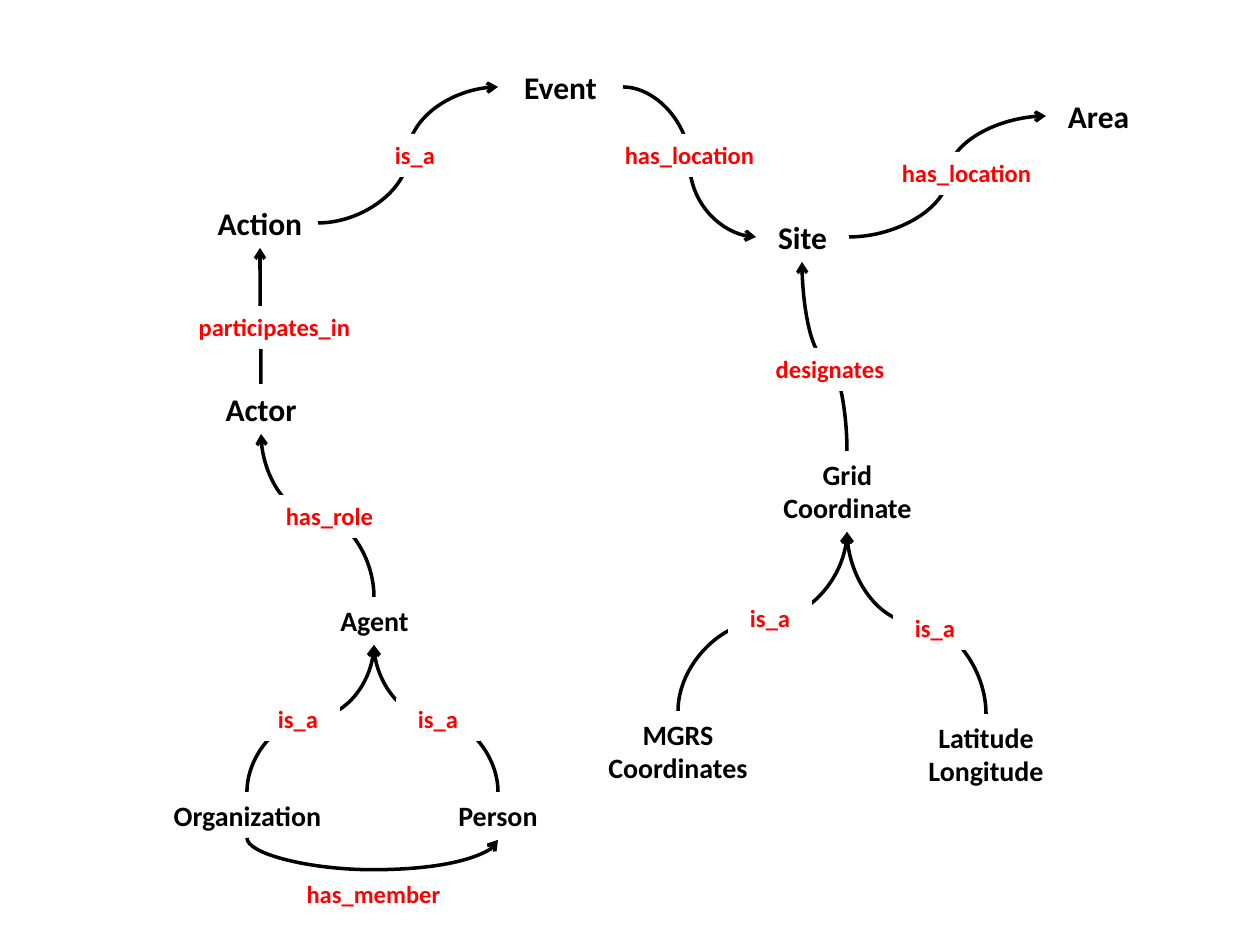
"""Build a concept map of events, actors, sites and coordinates."""
import lxml.etree
import pptx
import pptx.dml.color
import pptx.enum.shapes
import pptx.enum.text
import pptx.oxml.ns
import pptx.util

BLACK = pptx.dml.color.RGBColor(0x00, 0x00, 0x00)
RED = pptx.dml.color.RGBColor(0xFF, 0x00, 0x00)
WHITE = pptx.dml.color.RGBColor(0xFF, 0xFF, 0xFF)
PX_PER_INCH = 126
FONT = "Calibri"
LABEL_HEIGHT = 43
LABEL_SIZE = 14

CONCEPTS = {
    "Actor": (209, 384, 104, 50, 18),
    "Action": (202, 198, 116, 50, 18),
    "Event": (498, 62, 125, 50, 18),
    "Area": (1046, 91, 105, 50, 18),
    "Site": (756, 212, 93, 50, 18),
    "Organization": (160, 792, 175, 46, 16),
    "Person": (430, 792, 136, 48, 16),
    "Agent": (312, 597, 125, 48, 16),
    "Grid Coordinate": (748, 451, 199, 81, 16),
    "Latitude Longitude": (908, 714, 156, 81, 16),
    "MGRS Coordinates": (585, 711, 186, 81, 16),
}
LABEL_WIDTHS = {
    "is_a": 84,
    "has_role": 123,
    "participates_in": 197,
    "has_member": 185,
    "has_location": 161,
    "designates": 146,
}
RELATIONS = [
    ("Organization", "top", "Agent", "bottom", "is_a", 256, 698),
    ("Person", "top", "Agent", "bottom", "is_a", 396, 698),
    ("Agent", "top", "Actor", "bottom", "has_role", 268, 495),
    ("Actor", "top", "Action", "bottom", "participates_in", 176, 306),
    ("Action", "right", "Event", "left", "is_a", 373, 134),
    ("Organization", "bottom", "Person", "bottom", "has_member", 281, 873),
    ("Event", "right", "Site", "left", "has_location", 609, 134),
    ("Site", "right", "Area", "left", "has_location", 886, 152),
    ("Latitude Longitude", "top", "Grid Coordinate", "bottom", "is_a", 893, 607),
    ("MGRS Coordinates", "top", "Grid Coordinate", "bottom", "is_a", 728, 597),
    ("Grid Coordinate", "top", "Site", "bottom", "designates", 757, 348),
]
MEMBER_SAG = 32


def px(value):
    return pptx.util.Emu(round(value * 914400 / PX_PER_INCH))


def anchor(name, side):
    left, top, width, height, _ = CONCEPTS[name]
    middle_x, middle_y = left + width // 2, top + height // 2
    return {
        "top": (middle_x, top),
        "bottom": (middle_x, top + height),
        "left": (left, middle_y),
        "right": (left + width, middle_y),
    }[side]


def write(box, text, size, color):
    frame = box.text_frame
    frame.word_wrap = True
    frame.auto_size = pptx.enum.text.MSO_AUTO_SIZE.SHAPE_TO_FIT_TEXT
    frame.vertical_anchor = pptx.enum.text.MSO_ANCHOR.TOP
    para = frame.paragraphs[0]
    para.alignment = pptx.enum.text.PP_ALIGN.CENTER
    span = para.add_run()
    span.text = text
    span.font.name = FONT
    span.font.size = pptx.util.Pt(size)
    span.font.bold = True
    span.font.color.rgb = color


def add_concept(page, name):
    left, top, width, height, size = CONCEPTS[name]
    box = page.shapes.add_textbox(px(left), px(top), px(width), px(height))
    write(box, name, size, BLACK)


def add_label(page, text, left, top):
    box = page.shapes.add_shape(
        pptx.enum.shapes.MSO_SHAPE.RECTANGLE,
        px(left), px(top), px(LABEL_WIDTHS[text]), px(LABEL_HEIGHT))
    box.shadow.inherit = False
    box.fill.solid()
    box.fill.fore_color.rgb = WHITE
    box.line.fill.background()
    write(box, text, LABEL_SIZE, RED)


def add_curve(page, start, end, vertical):
    (x1, y1), (x2, y2) = start, end
    corners = (x1, y1, x2, y2)
    if vertical:
        middle_x, middle_y = (x1 + x2) / 2, (y1 + y2) / 2
        half_width, half_height = abs(y2 - y1) / 2, abs(x2 - x1) / 2
        corners = (middle_x - half_width, middle_y - half_height,
                   middle_x + half_width, middle_y + half_height)
    curve = page.shapes.add_connector(
        pptx.enum.shapes.MSO_CONNECTOR.CURVE, *map(px, corners))
    curve.line.color.rgb = BLACK
    curve.line.width = pptx.util.Pt(2)
    qn = pptx.oxml.ns.qn
    properties = curve._element.spPr
    if vertical:
        downward, rightward = y2 > y1, x2 > x1
        turn = 90 if rightward and not downward else 270
        frame = properties.find(qn("a:xfrm"))
        frame.set("rot", str(turn * 60000))
        if rightward:
            frame.set("flipH", "1")
        if not downward:
            frame.set("flipV", "1")
        if downward:
            guides = properties.find(qn("a:prstGeom")).find(qn("a:avLst"))
            bend = round(MEMBER_SAG / (y2 - y1) * 100000)
            lxml.etree.SubElement(guides, qn("a:gd"), name="adj1", fmla=f"val {bend}")
    lxml.etree.SubElement(properties.find(qn("a:ln")), qn("a:tailEnd"), type="arrow")
    lxml.etree.SubElement(properties, qn("a:effectLst"))


def main():
    deck = pptx.Presentation()
    deck.slide_width, deck.slide_height = px(1260), px(945)
    page = deck.slides.add_slide(deck.slide_layouts[6])
    for name in CONCEPTS:
        add_concept(page, name)
    for source, source_side, target, target_side, *_ in RELATIONS:
        add_curve(page, anchor(source, source_side), anchor(target, target_side),
                  source_side in ("top", "bottom"))
    for *_, text, left, top in RELATIONS:
        add_label(page, text, left, top)
    deck.save("out.pptx")


if __name__ == "__main__":
    main()
